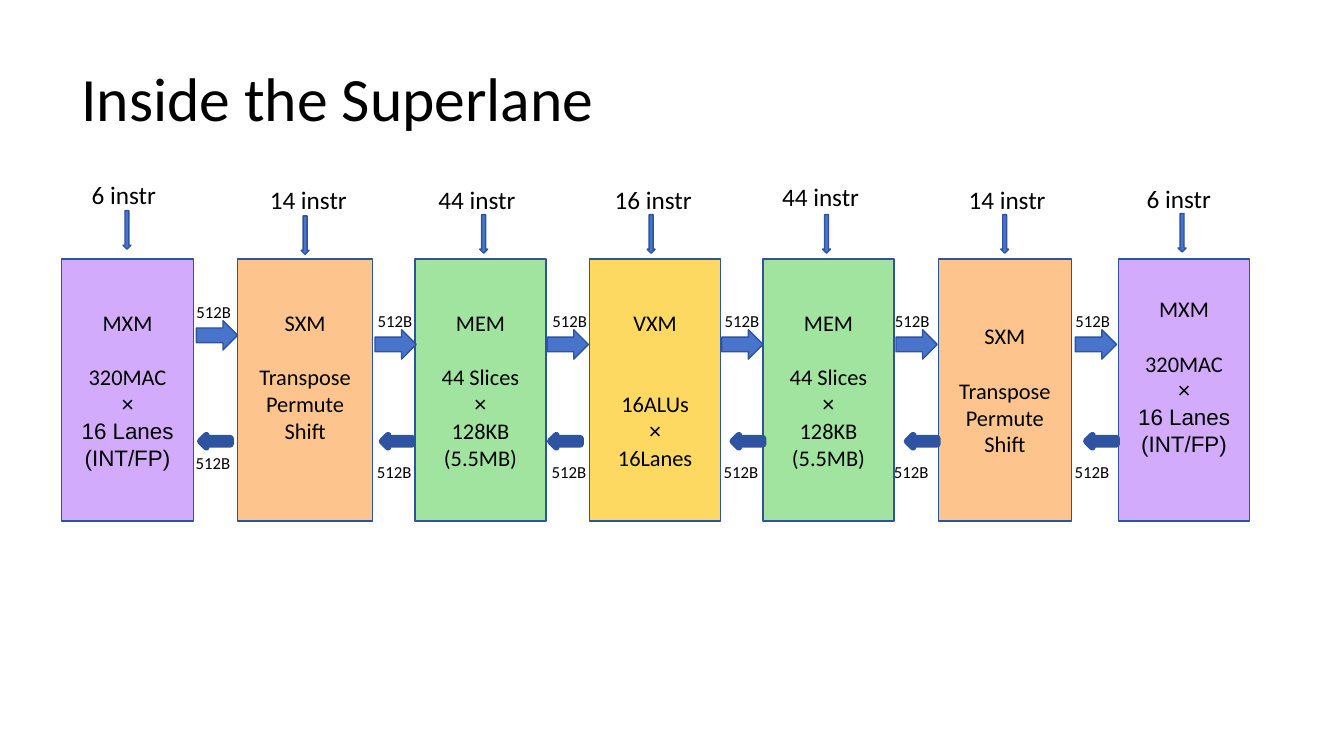
from pptx import Presentation
from pptx import util as u
from pptx.dml.color import RGBColor
from pptx.enum import shapes, text

Cm, Pt = u.Cm, u.Pt
SHAPE = shapes.MSO_SHAPE
BLACK = RGBColor(0x00, 0x00, 0x00)
BLUE = RGBColor(0x48, 0x74, 0xCB)
NAVY = RGBColor(0x2E, 0x54, 0xA1)
PURPLE = RGBColor(0xD2, 0xAB, 0xFD)
ORANGE = RGBColor(0xFD, 0xC4, 0x8D)
GREEN = RGBColor(0xA0, 0xE4, 0x9F)
YELLOW = RGBColor(0xFE, 0xD9, 0x61)

TOP, HIGH = 6.53, 6.6   # row of units, in cm
ROW = 19.5              # height of one 16 pt text line, in points

# Kind: fill, lines, lines skipped after the name, index of first and last Arial line
KINDS = {
    "MXM": (PURPLE, ["320MAC", "×", "16 Lanes", "(INT/FP)"], 1, (1, 3)),
    "SXM": (ORANGE, ["Transpose", "Permute", "Shift"], 1, None),
    "MEM": (GREEN, ["44 Slices", "×", "128KB", "(5.5MB)"], 1, (1, 1)),
    "VXM": (YELLOW, ["16ALUs", "×", "16Lanes"], 2, (1, 1)),
}

# Unit: kind, left, width, lines kept free below the text,
# instruction label, its offset and rise, arrow offset and rise
UNITS = [
    ("MXM", 1.55, 3.33, 0, "6 instr", 0.51, 2.14, 1.55, 1.22),
    ("SXM", 5.99, 3.40, 1, "14 instr", 0.56, 2.01, 1.60, 1.09),
    ("MEM", 10.46, 3.30, 0, "44 instr", 0.34, 2.01, 1.63, 1.12),
    ("VXM", 14.86, 3.30, 0, "16 instr", 0.38, 2.01, 1.45, 1.12),
    ("MEM", 19.23, 3.30, 0, "44 instr", 0.23, 2.08, 1.50, 1.12),
    ("SXM", 23.65, 3.35, 0, "14 instr", 0.51, 2.01, 1.57, 1.12),
    ("MXM", 28.19, 3.30, 1, "6 instr", 0.46, 2.03, 1.50, 1.15),
]

# Link: offsets of right arrow, label and left arrow from the unit before it, lift
LINKS = [
    (0.07, -0.18, 0.17, 0.23),
    (0.06, -0.12, 0.24, 0),
    (0.03, -0.09, 0.11, 0),
    (0.03, -0.15, 0.31, 0),
    (0.05, -0.23, 0.33, 0),
    (0.10, -0.15, 0.38, 0),
]


def write(par, words, size=16, font="Calibri", align=text.PP_ALIGN.LEFT, before=0):
    par.alignment = align
    if before:
        par.space_before = Pt(before)
    run = par.add_run()
    run.text = words
    run.font.size, run.font.name = Pt(size), font
    run.font.color.rgb = BLACK


def draw(slide, kind, x, y, w, h, fill=BLUE, line=1):
    shape = slide.shapes.add_shape(kind, Cm(x), Cm(y), Cm(w), Cm(h))
    shape.shadow.inherit = False
    shape.fill.solid()
    shape.fill.fore_color.rgb = fill
    shape.line.color.rgb = NAVY
    shape.line.width = Pt(line)
    return shape


def label(slide, words, x, y, w, h, size):
    frame = slide.shapes.add_textbox(Cm(x), Cm(y), Cm(w), Cm(h)).text_frame
    frame.word_wrap = True
    write(frame.paragraphs[0], words, size=size)


def add_title(slide, words, x, y, w, h):
    title = slide.shapes.title
    title.left, title.top, title.width, title.height = Cm(x), Cm(y), Cm(w), Cm(h)
    frame = title.text_frame
    frame.vertical_anchor = text.MSO_ANCHOR.MIDDLE
    frame.paragraphs[0].line_spacing = 0.9
    write(frame.paragraphs[0], words, size=44)


def add_unit(slide, name, x, y, w, h, free):
    fill, lines, skip, arial = KINDS[name]
    frame = draw(slide, SHAPE.RECTANGLE, x, y, w, h, fill=fill).text_frame
    frame.word_wrap = True
    frame.vertical_anchor = text.MSO_ANCHOR.MIDDLE
    frame.margin_bottom = Cm(0.13) + Pt(free * ROW)
    mid = text.PP_ALIGN.CENTER
    write(frame.paragraphs[0], name, align=mid)
    for i, words in enumerate(lines):
        font = "Arial" if arial and arial[0] <= i <= arial[1] else "Calibri"
        write(frame.add_paragraph(), words, font=font, align=mid,
              before=0 if i else skip * ROW)


def add_feed(slide, words, x, y, dx, rise, arrow, lift):
    draw(slide, SHAPE.DOWN_ARROW, x + arrow, y - lift, 0.2, 0.97)
    label(slide, words, x + dx, y - rise, 2.8, 0.97, 18)


def add_link(slide, x, y, right, dx, left, lift):
    # Eastward stream with its label above
    draw(slide, SHAPE.RIGHT_ARROW, x + right, y + 1.78 - lift, 1.04, 0.74)
    label(slide, "512B", x + dx, y + 1.17 - lift, 1.83, 0.74, 12)
    # Westward stream with its label below
    label(slide, "512B", x + dx - 0.02, y + 4.98 - lift, 1.83, 0.74, 12)
    draw(slide, SHAPE.LEFT_ARROW, x + left, y + 4.44, 0.76, 0.3, line=4.75)


def main():
    deck = Presentation()
    deck.slide_width, deck.slide_height = Cm(33.87), Cm(19.05)
    slide = deck.slides.add_slide(deck.slide_layouts[5])
    add_title(slide, "Inside the Superlane", 1.8, 0.71, 29.21, 3.68)
    # Units with their instruction feeds
    for name, x, w, free, words, *feed in UNITS:
        add_unit(slide, name, x, TOP, w, HIGH, free)
        add_feed(slide, words, x, TOP, *feed)
    # Data streams between neighbours
    for (_, x, w, *_), link in zip(UNITS, LINKS):
        add_link(slide, x + w, TOP, *link)
    deck.save("out.pptx")


if __name__ == "__main__":
    main()
